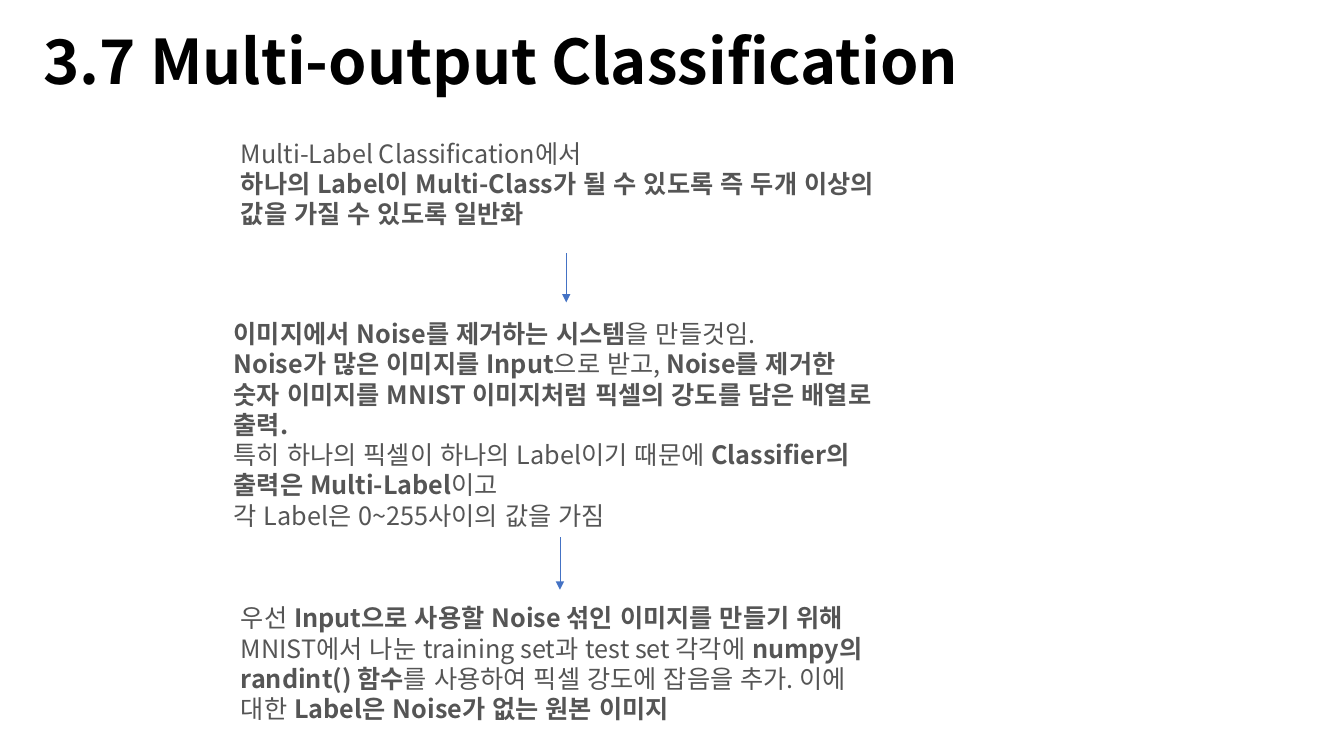
from lxml import etree
from pptx import Presentation, util as u
from pptx.dml.color import RGBColor
from pptx.enum import lang, shapes, text
from pptx.oxml.ns import qn

FONT = "Noto Sans CJK KR"
BOTTOM = 2  # connection site in the middle of the lower side


def colour(hex_string):
    return RGBColor.from_string(hex_string)


class SlideBuilder:
    title_format = {"name": FONT, "size": u.Pt(44), "bold": True}
    body_format = {"name": FONT, "size": u.Pt(18),
                   "language_id": lang.MSO_LANGUAGE_ID.KOREAN}
    title_colour, body_colour, arrow_colour = "000000", "555555", "4472C4"

    def __init__(self, slide):
        self.slide = slide

    def format_run(self, run, values, hex_string):
        for key, value in values.items():
            setattr(run.font, key, value)
        run.font.color.rgb = colour(hex_string)
        # Korean letters take the East Asian typeface
        east_asian = etree.SubElement(run.font._element, qn("a:ea"))
        east_asian.set("typeface", FONT)

    def title(self, words, left, top, width, height):
        heading = self.slide.shapes.title
        heading.left, heading.top = u.Cm(left), u.Cm(top)
        heading.width, heading.height = u.Cm(width), u.Cm(height)
        frame = heading.text_frame
        frame.auto_size = text.MSO_AUTO_SIZE.NONE
        frame.vertical_anchor = text.MSO_ANCHOR.MIDDLE
        paragraph = frame.paragraphs[0]
        paragraph.alignment = text.PP_ALIGN.LEFT
        paragraph.line_spacing = 0.9
        paragraph.font.size = self.title_format["size"]
        run = paragraph.add_run()
        run.text = words
        self.format_run(run, self.title_format, self.title_colour)
        paragraph.add_line_break()

    def passage(self, lines, left, top, width, height):
        """Add a text box; words between ** marks are bold."""
        box = self.slide.shapes.add_textbox(
            u.Cm(left), u.Cm(top), u.Cm(width), u.Cm(height))
        frame = box.text_frame
        frame.word_wrap = True
        frame.auto_size = text.MSO_AUTO_SIZE.SHAPE_TO_FIT_TEXT
        for number, line in enumerate(lines):
            paragraph = frame.add_paragraph() if number else frame.paragraphs[0]
            for index, words in enumerate(line.split("**")):
                if words:
                    run = paragraph.add_run()
                    run.text = words
                    values = {**self.body_format, "bold": index % 2 == 1}
                    self.format_run(run, values, self.body_colour)
        return box

    def down_arrow(self, x, top, bottom, source=None):
        arrow = self.slide.shapes.add_connector(
            shapes.MSO_CONNECTOR.STRAIGHT,
            u.Cm(x), u.Cm(top), u.Cm(x), u.Cm(bottom))
        if source is not None:
            arrow.begin_connect(source, BOTTOM)
            arrow.end_x = arrow.begin_x
        arrow.line.color.rgb = colour(self.arrow_colour)
        arrow.line.width = u.Pt(0.5)
        etree.SubElement(arrow.line._ln, qn("a:tailEnd")).set("type", "triangle")
        etree.SubElement(arrow._element.spPr, qn("a:effectLst"))


def main():
    deck = Presentation()
    deck.slide_width, deck.slide_height = u.Cm(33.87), u.Cm(19.05)
    page = SlideBuilder(deck.slides.add_slide(deck.slide_layouts[5]))

    # Heading
    page.title("3.7 Multi-output Classification", 0.84, 0.71, 29.21, 3.68)

    # Three steps, from the idea to the data
    passage_width = 16.94
    page.passage([
        "Multi-Label Classification에서",
        "**하나의 Label이 Multi-Class가 될 수 있도록 즉 두개 이상의 값을 가질 수 있도록 일반화**",
    ], 5.82, 3.35, passage_width, 2.57)
    noise_system = page.passage([
        "**이미지에서 Noise를 제거하는 시스템**을 만들것임.",
        "**Noise가 많은 이미지를 Input**으로 받고, **Noise를 제거한 숫자 이미지를 "
        "MNIST 이미지처럼 픽셀의 강도를 담은 배열로 출력.**",
        "특히 하나의 픽셀이 하나의 Label이기 때문에 **Classifier의 출력은 Multi-Label**이고",
        "각 Label은 0~255사이의 값을 가짐",
    ], 5.64, 7.9, passage_width, 5.64)
    page.passage([
        "우선 **Input으로 사용할 Noise 섞인 이미지를 만들기 위해 **"
        "MNIST에서 나눈 training set과 test set 각각에 **numpy의 randint() 함수**"
        "를 사용하여 픽셀 강도에 잡음을 추가. 이에 대한 **Label은 Noise가 없는 원본 이미지**",
    ], 5.82, 15.06, passage_width, 3.33)

    # Arrows between the steps
    page.down_arrow(14.27, 6.38, 7.62)
    page.down_arrow(14.1, 13.54, 14.86, noise_system)

    deck.save("out.pptx")


if __name__ == "__main__":
    main()
